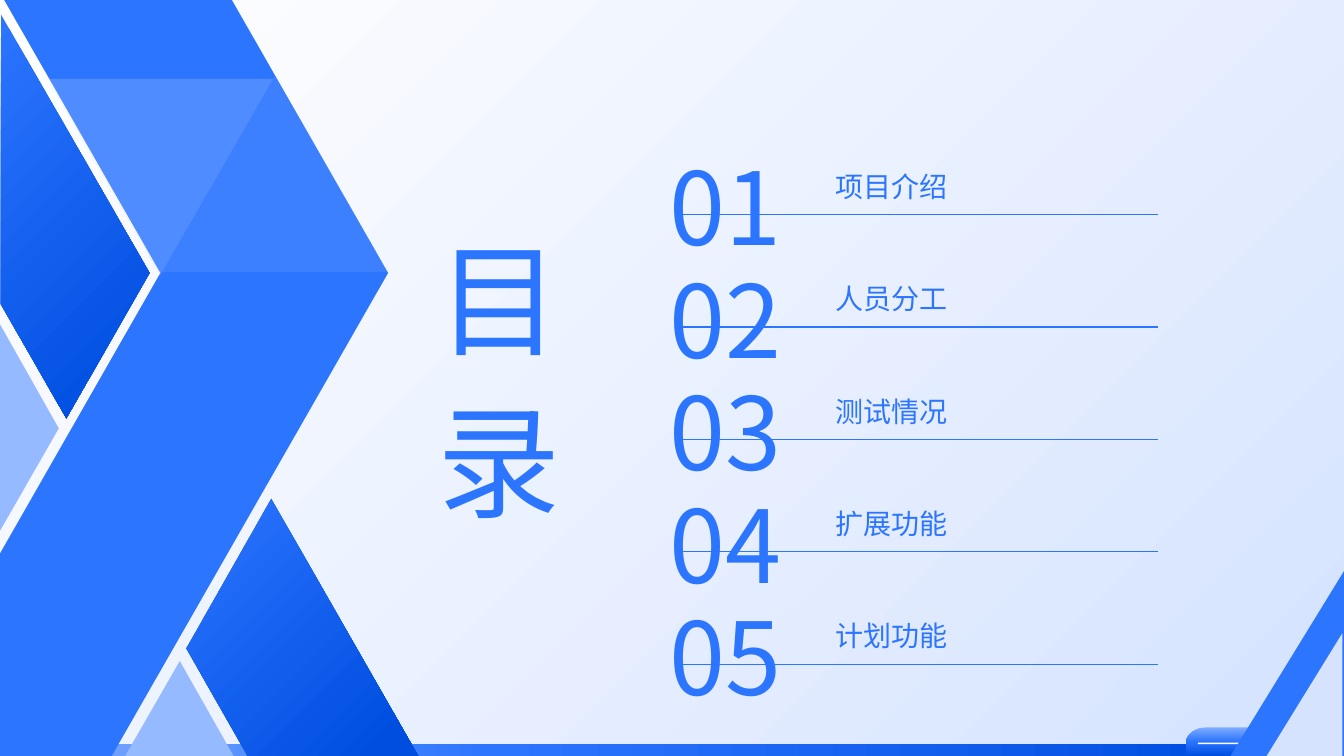
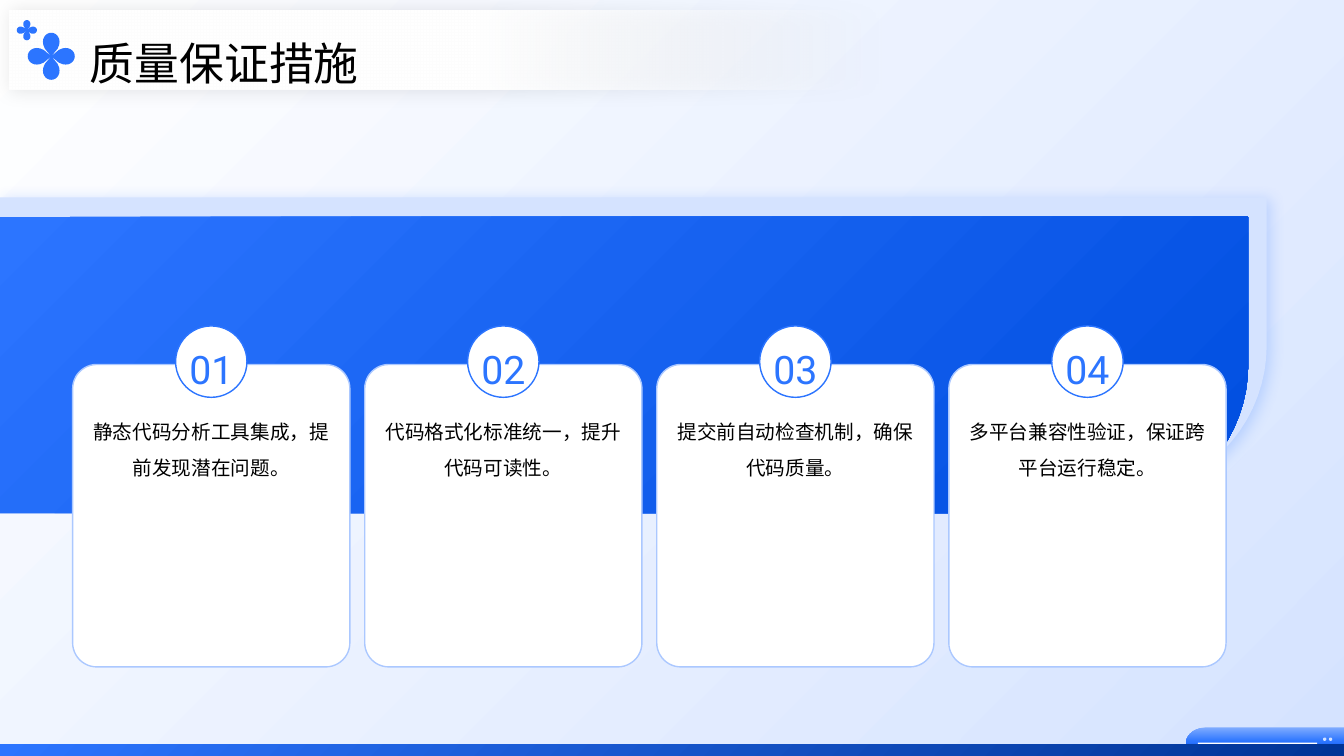
from math import cos, sin, radians

from lxml.etree import SubElement
from pptx import Presentation
from pptx.dml.color import RGBColor
from pptx.enum.shapes import MSO_CONNECTOR, MSO_SHAPE as SHAPE
from pptx.enum.text import MSO_ANCHOR as ANCHOR, MSO_AUTO_SIZE, PP_ALIGN as ALIGN
from pptx.oxml.ns import qn
from pptx.util import Emu, Inches, Pt

BLUE = RGBColor(0x2C, 0x75, 0xFF)
DEEP_BLUE = RGBColor(0x00, 0x4E, 0xE0)
NAVY = RGBColor(0x00, 0x34, 0x96)
SKY = RGBColor(0x80, 0xAC, 0xFF)
SOFT_BLUE = RGBColor(0x96, 0xBA, 0xFF)
CARD_EDGE = RGBColor(0xAB, 0xC8, 0xFF)
PALE = RGBColor(0xD5, 0xE3, 0xFF)
WHITE = RGBColor(0xFF, 0xFF, 0xFF)
BLACK = RGBColor(0x00, 0x00, 0x00)
CJK_FONT, DIGIT_FONT = "Noto Sans CJK SC", "Roboto"

# The slide is a grid of 160 columns and 90 rows of square cells.
COLUMNS, ROWS = 160, 90
CELL = Inches(7.5) / ROWS
QUARTER_ARC = [(cos(radians(a)), sin(radians(a))) for a in range(0, 91, 5)]


def draw(slide, kind, geometry, fill, angle=0, edge=None):
    """Draw a preset from (left, top, width, height), or an outline from points if kind is None.

    fill is a colour or a list of (percent, colour[, opacity percent]) stops.
    """
    if kind is None:
        points = [(x * CELL, y * CELL) for x, y in geometry]
        builder = slide.shapes.build_freeform(*points[0])
        builder.add_line_segments(points[1:], close=True)
        shape = builder.convert_to_shape()
    else:
        shape = slide.shapes.add_shape(kind, *[Emu(round(n * CELL)) for n in geometry])
    shape.shadow.inherit = False
    if isinstance(fill, list):
        shape.fill.gradient()
        shape.fill.gradient_angle = -angle % 360
        stops = next(shape.element.spPr.iter(qn("a:gsLst")))
        stops.clear()
        for percent, colour, *opacity in fill:
            stop = SubElement(stops, qn("a:gs"), pos=str(percent * 1000))
            tint = SubElement(stop, qn("a:srgbClr"), val=str(colour))
            for value in opacity:
                SubElement(tint, qn("a:alpha"), val=str(value * 1000))
    else:
        shape.fill.solid()
        shape.fill.fore_color.rgb = fill
    if edge is None:
        shape.line.fill.background()
    else:
        shape.line.color.rgb = edge
        shape.line.width = Pt(1)
    return shape


def write(shape, text, size, colour, spacing, align=ALIGN.LEFT, anchor=ANCHOR.TOP,
          font=CJK_FONT, box=None):
    """Set formatted text without insets, moving the shape to box when one is given."""
    if box:
        shape.left, shape.top, shape.width, shape.height = [Emu(round(n * CELL)) for n in box]
    frame = shape.text_frame
    frame.text = text
    frame.word_wrap = True
    frame.auto_size = MSO_AUTO_SIZE.NONE
    frame.vertical_anchor = anchor
    frame.margin_left = frame.margin_right = frame.margin_top = frame.margin_bottom = 0
    paragraph = frame.paragraphs[0]
    paragraph.alignment = align
    paragraph.line_spacing = spacing
    run = paragraph.runs[0]
    run.font.size = Pt(size)
    run.font.color.rgb = colour
    run.font.name = font
    SubElement(run._r.get_or_add_rPr(), qn("a:ea"), typeface=font)


prs = Presentation()
prs.slide_width = Emu(round(COLUMNS * CELL))
prs.slide_height = Emu(round(ROWS * CELL))
title_only = prs.slide_layouts[5]
contents = prs.slides.add_slide(title_only)
measures = prs.slides.add_slide(title_only)

# Shared background and footer
tab_outline = [(143.7 - 2.5 * c, 88.5 - 1.9 * s) for c, s in QUARTER_ARC]
tab_outline += [(COLUMNS, 86.6), (COLUMNS, ROWS), (141.2, ROWS)]
for slide in (contents, measures):
    background = slide.background.fill
    background.gradient()
    background.gradient_angle = 315
    for stop, colour in zip(background.gradient_stops, (WHITE, PALE)):
        stop.color.rgb = colour
        stop.position = 0 if colour == WHITE else 1
    draw(slide, SHAPE.RECTANGLE, (0, 88.6, 147.4, 1.4), [(0, SKY), (40, BLUE), (100, DEEP_BLUE)])
    draw(slide, None, tab_outline, [(0, SKY), (49, BLUE), (100, DEEP_BLUE)], 90)
    draw(slide, SHAPE.RECTANGLE, (142.6, 88.4, 14.2, 0.2), WHITE)
    for x in (157.5, 158.2):
        for y in (87.8, 88.7):
            draw(slide, SHAPE.OVAL, (x, y, 0.4, 0.4), PALE)

# Contents: angled bands
diamond_fill = [(0, BLUE), (92, DEEP_BLUE)]
for outline, fill in (
    ([(17.8, 32.5), (7.9, 49.8), (0.1, 36.2), (0.1, 1.7)], diamond_fill),
    ([(0.5, 0), (27.6, 0), (46.2, 32.5), (13.3, 90), (0, 90), (0, 65.9), (19.1, 32.5)], BLUE),
    ([(32.3, 59.4), (49.8, 90), (29.5, 90), (22.2, 77.2)], diamond_fill),
    ([(0, 38.6), (7, 51), (0, 63.2)], SOFT_BLUE),
    ([(21.4, 78.7), (27.8, 90), (14.9, 90)], SOFT_BLUE),
):
    draw(contents, None, outline, fill, 45)

for left, top, colour, turn in ((19.3, 9, SKY, 0), (5.6, 9.4, PALE, 180)):
    facet = draw(contents, SHAPE.ISOSCELES_TRIANGLE, (left, top, 26.9, 23.4), colour)
    facet.rotation = turn
    SubElement(next(facet.element.spPr.iter(qn("a:srgbClr"))), qn("a:alpha"), val="21000")

for box, colour in (((146.5, 68, 13.5, 22), BLUE), ((150.8, 75.4, 9, 14.6), PALE)):
    corner = draw(contents, SHAPE.RIGHT_TRIANGLE, box, colour)
    corner.element.spPr.find(qn("a:xfrm")).set("flipH", "1")

# Contents: title and entries
heading = contents.shapes.title
write(heading, "目录", 88, BLUE, 1.1, ALIGN.JUSTIFY, box=(52.1, 24.8, 15.2, 35.5))
contents.shapes.element.append(heading.element)

for index, entry in enumerate(("项目介绍", "人员分工", "测试情况", "扩展功能", "计划功能")):
    rule_y = 25.55 + 13.38 * index
    ends = [Emu(round(n * CELL)) for n in (81.2, rule_y, 137.9, rule_y)]
    rule = contents.shapes.add_connector(MSO_CONNECTOR.STRAIGHT, *ends)
    rule.line.color.rgb = BLUE
    rule.line.width = Pt(0.75)
    SubElement(rule.element.spPr, qn("a:effectLst"))
    write(contents.shapes.add_textbox(0, 0, 0, 0), f"{index + 1:02}", 72, BLUE, 1.1,
          box=(79.7, rule_y - 9.7, 22.6, 15.1))
    write(contents.shapes.add_textbox(0, 0, 0, 0), entry, 20, BLUE, 1.3, anchor=ANCHOR.BOTTOM,
          box=(99.5, rule_y - 9.4, 45.8, 8))

# Measures: panels with one rounded corner
panels = []
for right, top, fill in ((150.8, 23.5, PALE), (148.6, 25.8, [(0, BLUE), (100, DEEP_BLUE)])):
    radius, bottom = 17.65, top + 35.3
    outline = [(0, bottom), (0, top), (right, top)]
    outline += [(right - radius + radius * c, bottom - radius + radius * s)
                for c, s in QUARTER_ARC]
    panels.append(draw(measures, None, outline, fill, 45))
draw(measures, SHAPE.RECTANGLE, (0, 88.6, COLUMNS, 1.4), [(0, BLUE), (100, NAVY)], 45)

# Measures: numbered cards
for index, measure in enumerate((
    "静态代码分析工具集成，提前发现潜在问题。",
    "代码格式化标准统一，提升代码可读性。",
    "提交前自动检查机制，确保代码质量。",
    "多平台兼容性验证，保证跨平台运行稳定。",
)):
    left = 8.65 + 34.77 * index
    card = draw(measures, SHAPE.ROUNDED_RECTANGLE, (left, 43.4, 33, 36), WHITE, edge=CARD_EDGE)
    card.adjustments[0] = 0.087
    write(card, measure, 14, BLACK, 1.5, ALIGN.CENTER)
    card.text_frame.margin_left = card.text_frame.margin_right = Emu(round(0.6 * CELL))
    card.text_frame.margin_top = Emu(round(4.4 * CELL))
    badge = draw(measures, SHAPE.OVAL, (left + 12.25, 38.8, 8.5, 8.5), WHITE, edge=BLUE)
    write(badge, f"{index + 1:02}", 28, BLUE, 1.3, ALIGN.CENTER, ANCHOR.MIDDLE, DIGIT_FONT)
    badge.text_frame.word_wrap = False

# Measures: title ribbon with clovers
ribbon = draw(measures, SHAPE.RECTANGLE, (1.1, 1.2, 138.6, 9.5),
              [(25, WHITE, 0), (60, WHITE, 100)], 180)
heading = measures.shapes.title
write(heading, "质量保证措施", 32, BLACK, 1.5, anchor=ANCHOR.MIDDLE, box=(10.7, 3.1, 102.1, 5.6))
measures.shapes.element.append(heading.element)
for x, y, radius in ((6.1, 6.7, 2.8), (3.2, 3.6, 1.2)):
    clover = []
    for degrees in range(0, 360, 5):
        reach = radius * abs(cos(radians(2 * degrees))) ** 0.5
        clover.append((x + reach * cos(radians(degrees)), y + reach * sin(radians(degrees))))
    draw(measures, None, clover, BLUE)

for shape, colour, opacity, blur, distance in ((panels[0], BLUE, 21, 11, 3),
                                               (ribbon, BLACK, 10, 13, 0)):
    effects = shape.element.spPr.find(qn("a:effectLst"))
    shadow = SubElement(effects, qn("a:outerShdw"), blurRad=str(Pt(blur)), dist=str(Pt(distance)),
                        dir=str(45 * 60000), algn="ctr", rotWithShape="0")
    tint = SubElement(shadow, qn("a:srgbClr"), val=str(colour))
    SubElement(tint, qn("a:alpha"), val=str(opacity * 1000))

prs.save("out.pptx")
